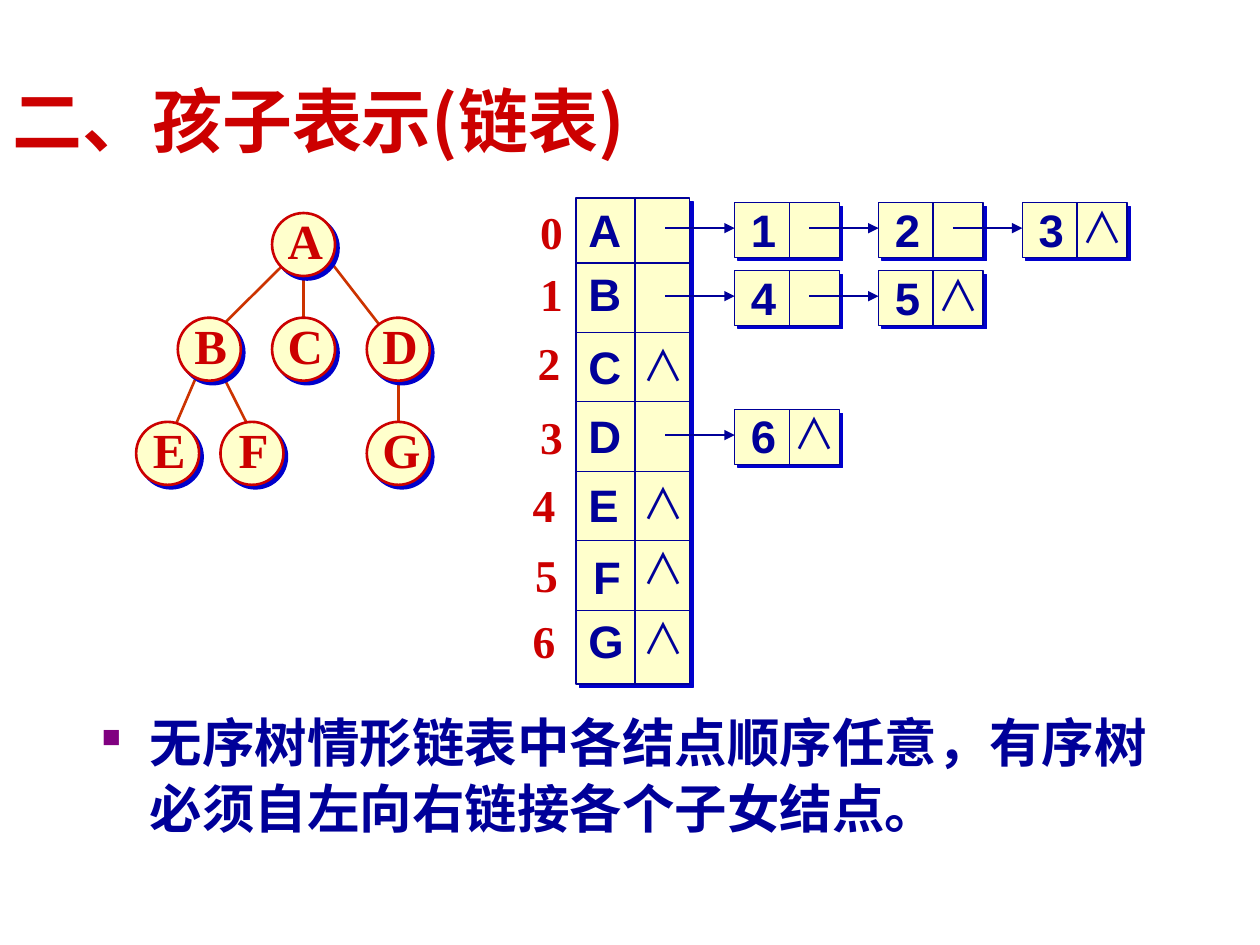
from dataclasses import dataclass
from typing import Any

from lxml.etree import SubElement
from pptx import Presentation
from pptx.dml.color import RGBColor
from pptx.enum.shapes import MSO_CONNECTOR, MSO_SHAPE
from pptx.enum.text import MSO_ANCHOR, PP_ALIGN
from pptx.oxml.ns import qn
from pptx.util import Cm, Pt

COLORS = {"red": "CC0000", "edge": "CC3300", "navy": "000099", "cream": "FFFFCC",
          "shade": "0000CC", "bullet": "800080"}
SERIF, SANS, HAN = "Times New Roman", "Arial", "Noto Sans CJK SC"
NULL = "∧"


@dataclass
class Node:
    """A tree node by its centre."""
    name: str
    x: float
    y: float


@dataclass
class Edge:
    """A tree edge with its end offsets from the two centres."""
    top: str
    low: str
    start: tuple[float, float]
    end: tuple[float, float]


@dataclass
class Row:
    """A head row: letter and index places, null mark or linked cells."""
    name: str
    y: float
    tag_x: float
    tag_y: float
    null_y: float | None = None
    cell_y: float = 0
    kids: str = ""
    x: float = 11.61


LEVELS = (4.93, 7.04, 9.14)
NODES = [Node("A", 6.12, LEVELS[0]), Node("B", 4.22, LEVELS[1]),
         Node("C", 6.12, LEVELS[1]), Node("D", 8.03, LEVELS[1]),
         Node("E", 3.38, LEVELS[2]), Node("F", 5.08, LEVELS[2]),
         Node("G", 8.03, LEVELS[2])]
EDGES = [Edge("D", "G", (0, 0.43), (0, -0.2)),
         Edge("A", "D", (0.43, 0.2), (0, 0)),
         Edge("B", "F", (0.22, 0.43), (0, -0.4)),
         Edge("B", "E", (-0.21, 0.43), (0, -0.2)),
         Edge("A", "B", (-0.4, 0.4), (0.22, -0.44)),
         Edge("A", "C", (0, 0.4), (0, -0.44))]
ROWS = [Row("A", 3.94, 10.64, 3.99, cell_y=4.09, kids="123"),
        Row("B", 5.23, 10.64, 5.23, cell_y=5.46, kids="45"),
        Row("C", 6.71, 10.59, 6.63, null_y=6.71),
        Row("D", 8.1, 10.64, 8.13, cell_y=8.26, kids="6"),
        Row("E", 9.5, 10.49, 9.5, null_y=9.5),
        Row("F", 10.95, 10.54, 10.9, null_y=10.82, x=11.71),
        Row("G", 12.24, 10.49, 12.24, null_y=12.22)]


def tint(name: str) -> RGBColor:
    """Look up a colour."""
    return RGBColor.from_string(COLORS[name])


def write(pen: Any, text: str, x: float, y: float, w: float, h: float, *,
          size: float, font: str, color: str = "navy", bold: bool = True,
          align: Any = PP_ALIGN.LEFT, anchor: Any = MSO_ANCHOR.TOP) -> Any:
    """Add a text box and return its paragraph."""
    frame = pen.add_textbox(Cm(x), Cm(y), Cm(w), Cm(h)).text_frame
    frame.word_wrap = True
    frame.vertical_anchor = anchor
    para = frame.paragraphs[0]
    para.alignment = align
    run = para.add_run()
    run.text = text
    run.font.name, run.font.size, run.font.bold = font, Pt(size), bold
    run.font.color.rgb = tint(color)
    SubElement(run.font._element, qn("a:ea"), typeface=font)
    return para


def line(pen: Any, x1: float, y1: float, x2: float, y2: float, *,
         color: str = "navy", width: float = 0.75, arrow: bool = False) -> None:
    """Draw a straight line, with an arrowhead if asked."""
    link = pen.add_connector(MSO_CONNECTOR.STRAIGHT, Cm(x1), Cm(y1), Cm(x2), Cm(y2))
    link.line.color.rgb = tint(color)
    link.line.width = Pt(width)
    props = link._element.spPr
    if arrow:
        SubElement(props.find(qn("a:ln")), qn("a:tailEnd"), type="triangle")
    SubElement(props, qn("a:effectLst"))


def block(pen: Any, kind: Any, x: float, y: float, w: float, h: float, *,
          color: str = "navy", width: float = 0.75) -> None:
    """Draw a cream shape with a hard blue shadow."""
    shape = pen.add_shape(kind, Cm(x), Cm(y), Cm(w), Cm(h))
    shape.fill.solid()
    shape.fill.fore_color.rgb = tint("cream")
    shape.line.color.rgb = tint(color)
    shape.line.width = Pt(width)
    shape.shadow.inherit = False
    glow = SubElement(shape._element.spPr.find(qn("a:effectLst")), qn("a:outerShdw"),
                      dist=str(Pt(2.8)), dir="2700000", algn="ctr", rotWithShape="0")
    SubElement(glow, qn("a:srgbClr"), val=COLORS["shade"])


def mark(pen: Any, x: float, y: float) -> None:
    """Write a null mark."""
    write(pen, NULL, x, y, 1.35, 1.27, size=24, font=HAN, bold=False)


def tree(pen: Any) -> None:
    """Draw the tree."""
    spots = {node.name: node for node in NODES}
    for edge in EDGES:
        top, low = spots[edge.top], spots[edge.low]
        line(pen, top.x + edge.start[0], top.y + edge.start[1],
             low.x + edge.end[0], low.y + edge.end[1], color="edge", width=1.5)
    side = 1.27
    for node in NODES:
        block(pen, MSO_SHAPE.OVAL, node.x - side / 2, node.y - side / 2, side, side,
              color="red", width=1.5)
    for node in NODES:
        write(pen, node.name, node.x - 0.57, node.y - 0.81, 1.2, 1.45, size=28,
              font=SERIF, color="red", align=PP_ALIGN.CENTER, anchor=MSO_ANCHOR.MIDDLE)


def chain(pen: Any, row: Row) -> None:
    """Draw the linked cells of a row."""
    wide, high, half, pitch, y = 2.11, 1.1, 1.1, 2.9, row.cell_y
    places = [14.81 + pitch * i for i in range(len(row.kids))]
    for x, kid in zip(places, row.kids):
        block(pen, MSO_SHAPE.RECTANGLE, x, y, wide, high)
        line(pen, x + half, y, x + half, y + high)
        line(pen, x - 1.4, y + 0.51, x, y + 0.51, width=1.5, arrow=True)
        write(pen, kid, x + 0.08, y - 0.15, 1.02, 1.35, size=26, font=SANS)
    mark(pen, places[-1] + 0.94, y - 0.16)


def table(pen: Any) -> None:
    """Draw the head array and its chains."""
    left, top, wide, high = 11.61, 3.99, 2.29, 9.8
    block(pen, MSO_SHAPE.RECTANGLE, left, top, wide, high)
    for i in range(len(ROWS) - 1):
        y = 5.3 + 1.4 * i
        line(pen, left + wide, y, left, y)
    line(pen, 12.8, top, 12.8, top + high)
    for i, row in enumerate(ROWS):
        write(pen, row.name, row.x, row.y, 1.17, 1.35, size=26, font=SANS)
        write(pen, str(i), row.tag_x, row.tag_y, 0.97, 1.35, size=26, font=SERIF,
              color="red")
        if row.kids:
            chain(pen, row)
        else:
            mark(pen, 12.7, row.null_y)


def note(pen: Any) -> None:
    """Write the bulleted remark."""
    para = write(pen, "无序树情形链表中各结点顺序任意，有序树必须自左向右链接各个子女结点。",
                 1.8, 14.12, 22.25, 3.3, size=30, font=HAN)
    para.line_spacing = 1.05
    props = para._element.get_or_add_pPr()
    props.set("marL", str(Cm(0.97)))
    props.set("indent", str(Cm(-0.97)))
    SubElement(SubElement(props, qn("a:buClr")), qn("a:srgbClr"), val=COLORS["bullet"])
    SubElement(props, qn("a:buSzPct"), val="50000")
    SubElement(props, qn("a:buChar"), char="■")


def main() -> None:
    """Build and save the slide."""
    deck = Presentation()
    deck.slide_width, deck.slide_height = Cm(25.4), Cm(19.05)
    shapes = deck.slides.add_slide(deck.slide_layouts[6]).shapes
    write(shapes, "二、孩子表示(链表)", 0, 1.22, 22.86, 2.36, size=40,
          font="Noto Sans CJK JP", color="red", anchor=MSO_ANCHOR.MIDDLE)
    note(shapes)
    tree(shapes.add_group_shape().shapes)
    table(shapes.add_group_shape().shapes)
    deck.save("out.pptx")


main()
